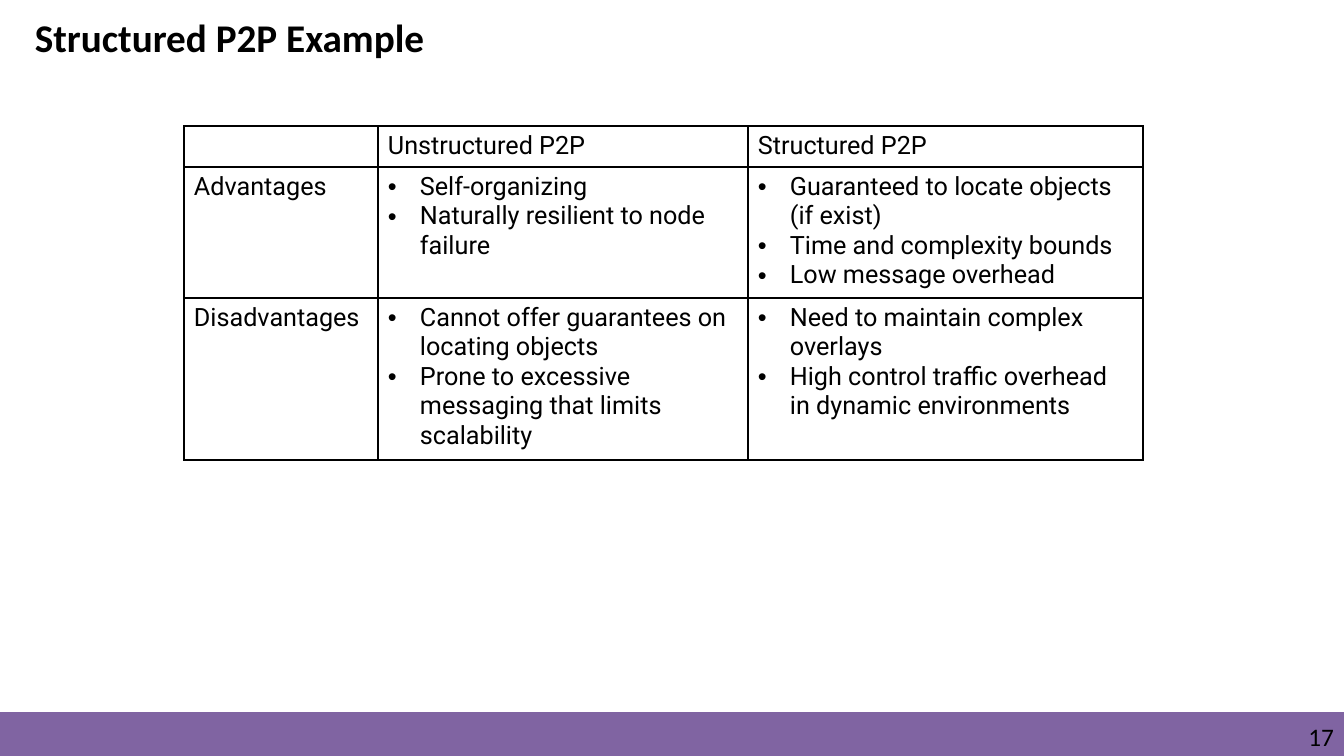
"""Build a slide comparing unstructured and structured P2P networks."""
import pptx
import pptx.dml.color
import pptx.enum.shapes
import pptx.enum.text
import pptx.oxml
import pptx.oxml.ns
import pptx.util

TITLE = "Structured P2P Example"
PAGE = "17"
COMPARISON = [
    ["", "Unstructured P2P", "Structured P2P"],
    ["Advantages",
     ["Self-organizing", "Naturally resilient to node failure"],
     ["Guaranteed to locate objects (if exist)", "Time and complexity bounds",
      "Low message overhead"]],
    ["Disadvantages",
     ["Cannot offer guarantees on locating objects",
      "Prone to excessive messaging that limits scalability"],
     ["Need to maintain complex overlays",
      "High control traffic overhead in dynamic environments"]],
]
THEME = {
    "ink": "000000", "paper": "FFFFFF", "footer": "8064A2",
    "heading_font": "Calibri", "body_font": "Roboto",
    "title_size": 28, "body_size": 18, "rule": 1,
}
SLIDE_W, SLIDE_H = 1344, 756
FOOTER_H = 43
TABLE_LEFT, TABLE_TOP = 184, 126
COLUMN_WIDTHS = [194, 370, 395]
ROW_HEIGHTS = [41, 131, 162]
BULLET_INDENT = 32
EMU_PER_PX = 914400 / 100.8


def px(length):
    return pptx.util.Emu(round(length * EMU_PER_PX))


def rgb(key):
    return pptx.dml.color.RGBColor.from_string(THEME[key])


def xml(markup):
    tag, rest = markup.split(" ", 1)
    return pptx.oxml.parse_xml(f"<{tag} {pptx.oxml.ns.nsdecls('a')} {rest}")


def write(frame, text, *, font="body_font", size="body_size", bold=False, align=None):
    bulleted = isinstance(text, list)
    for index, line in enumerate(text if bulleted else [text]):
        paragraph = frame.add_paragraph() if index else frame.paragraphs[0]
        if bulleted:
            properties = paragraph._p.get_or_add_pPr()
            properties.set("marL", str(px(BULLET_INDENT)))
            properties.set("indent", str(-px(BULLET_INDENT)))
            properties.append(xml(f'a:buClr ><a:srgbClr val="{THEME["ink"]}"/></a:buClr>'))
            properties.append(xml('a:buFont typeface="Arial"/>'))
            properties.append(xml('a:buChar char="•"/>'))
        paragraph.alignment = align
        paragraph.font.size = pptx.util.Pt(THEME[size])
        if line:
            run = paragraph.add_run()
            run.text = line
            run.font.name = THEME[font]
            run.font.size = pptx.util.Pt(THEME[size])
            run.font.bold = bold
            run.font.color.rgb = rgb("ink")


def outline_cell(cell):
    properties = cell._tc.get_or_add_tcPr()
    width = pptx.util.Pt(THEME["rule"])
    for index, side in enumerate("LRTB"):
        properties.insert(index, xml(
            f'a:ln{side} w="{width}"><a:solidFill><a:srgbClr val="{THEME["ink"]}"/>'
            f'</a:solidFill></a:ln{side}>'))


def add_footer(slide):
    footer = slide.shapes.add_shape(
        pptx.enum.shapes.MSO_SHAPE.RECTANGLE,
        0, px(SLIDE_H - FOOTER_H), px(SLIDE_W), px(FOOTER_H))
    footer.shadow.inherit = False
    footer.fill.solid()
    footer.fill.fore_color.rgb = rgb("footer")
    footer.line.color.rgb = rgb("footer")
    footer.line.width = pptx.util.Pt(THEME["rule"])

    page = slide.shapes.add_textbox(px(1025), px(721), px(309), px(30)).text_frame
    page.word_wrap = True
    page.margin_left = page.margin_right = page.margin_top = page.margin_bottom = 0
    write(page, PAGE, font="heading_font", align=pptx.enum.text.PP_ALIGN.RIGHT)


def add_comparison(slide):
    comparison = slide.shapes.add_table(
        len(ROW_HEIGHTS), len(COLUMN_WIDTHS), px(TABLE_LEFT), px(TABLE_TOP),
        px(sum(COLUMN_WIDTHS)), px(sum(ROW_HEIGHTS))).table
    comparison.first_row = False
    comparison.horz_banding = False
    for column, width in zip(comparison.columns, COLUMN_WIDTHS):
        column.width = px(width)
    for row, height, entries in zip(comparison.rows, ROW_HEIGHTS, COMPARISON):
        row.height = px(height)
        for cell, entry in zip(row.cells, entries):
            cell.fill.solid()
            cell.fill.fore_color.rgb = rgb("paper")
            cell.margin_left = cell.margin_right = px(10)
            cell.margin_top = cell.margin_bottom = px(5)
            outline_cell(cell)
            write(cell.text_frame, entry)


def main():
    deck = pptx.Presentation()
    deck.slide_width, deck.slide_height = px(SLIDE_W), px(SLIDE_H)
    slide = deck.slides.add_slide(deck.slide_layouts[6])
    add_footer(slide)
    title = slide.shapes.add_textbox(px(25), px(8), px(481), px(57)).text_frame
    title.word_wrap = False
    write(title, TITLE, font="heading_font", size="title_size", bold=True)
    add_comparison(slide)
    deck.save("out.pptx")


if __name__ == "__main__":
    main()
